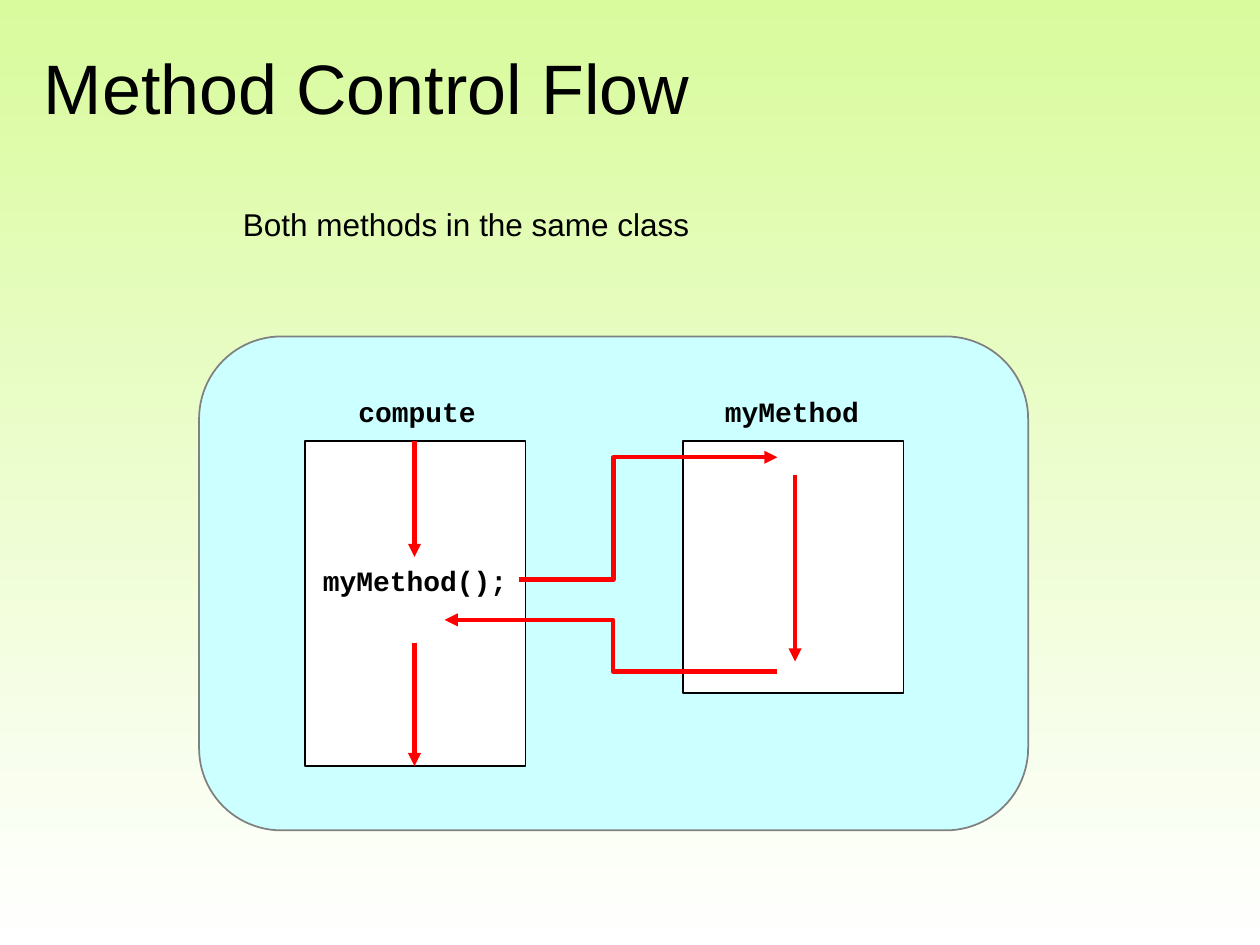
from lxml import etree
from pptx import Presentation
from pptx.dml.color import RGBColor
from pptx.enum.shapes import MSO_CONNECTOR, MSO_SHAPE
from pptx.enum.text import MSO_ANCHOR, PP_ALIGN
from pptx.oxml.ns import qn
from pptx.util import Inches, Pt

PANEL, BOX = MSO_SHAPE.FLOWCHART_ALTERNATE_PROCESS, MSO_SHAPE.RECTANGLE
STRAIGHT, ELBOW = MSO_CONNECTOR.STRAIGHT, MSO_CONNECTOR.ELBOW
TOP, MIDDLE = MSO_ANCHOR.TOP, MSO_ANCHOR.MIDDLE
LEFT, CENTER = PP_ALIGN.LEFT, PP_ALIGN.CENTER

BLACK = RGBColor(0x00, 0x00, 0x00)
WHITE = RGBColor(0xFF, 0xFF, 0xFF)
GRAY = RGBColor(0x80, 0x80, 0x80)
RED = RGBColor(0xFF, 0x00, 0x00)
CYAN = RGBColor(0xCC, 0xFF, 0xFF)
LIME = RGBColor(0xD9, 0xFB, 0x9D)

# Content: places are left, top, width, height in inches
BOXES = [
    (PANEL, (1.58, 2.67, 6.58, 3.92), CYAN, GRAY),  # the class
    (BOX, (2.42, 3.5, 1.75, 2.58), WHITE, BLACK),   # compute
    (BOX, (5.42, 3.5, 1.75, 2), WHITE, BLACK),      # myMethod
]
HEADING = {"name": "Arial", "size": Pt(40), "bold": False}
NOTE = {"name": "Arial", "size": Pt(18), "bold": False}
CODE = {"name": "Courier New", "size": Pt(16), "bold": True}
TEXTS = [
    ("Method Control Flow", (0.25, 0.3, 9.5, 0.78), HEADING, LEFT, MIDDLE, True),
    ("Both methods in the same class", (1.83, 1.58, 3.78, 0.4), NOTE, LEFT, TOP, False),
    ("compute", (2.74, 3.08, 1.14, 0.37), CODE, CENTER, MIDDLE, False),
    ("myMethod", (5.65, 3.08, 1.27, 0.37), CODE, CENTER, MIDDLE, False),
    ("myMethod();", (2.46, 4.42, 1.67, 0.37), CODE, CENTER, MIDDLE, False),
]
# Start, end, and where an elbow bends (share of its width)
ARROWS = [
    ((3.29, 3.5), (3.29, 4.42), None),
    ((4.12, 4.6), (6.17, 3.63), 0.365),
    ((6.31, 3.77), (6.31, 5.25), None),
    ((6.17, 5.33), (3.53, 4.92), 0.494),
    ((3.29, 5.1), (3.29, 6.08), None),
]


def add_box(slide, kind, place, fill, outline):
    shape = slide.shapes.add_shape(kind, *map(Inches, place))
    shape.shadow.inherit = False
    shape.fill.solid()
    shape.fill.fore_color.rgb = fill
    shape.line.color.rgb = outline
    shape.line.width = Pt(1)


def add_text(slide, text, place, style, alignment, anchor, wrap):
    frame = slide.shapes.add_textbox(*map(Inches, place)).text_frame
    frame.word_wrap = wrap
    frame.vertical_anchor = anchor
    paragraph = frame.paragraphs[0]
    paragraph.alignment = alignment
    run = paragraph.add_run()
    run.text = text
    run.font.color.rgb = BLACK
    for name, value in style.items():
        setattr(run.font, name, value)


def add_arrow(slide, start, end, bend):
    kind = ELBOW if bend else STRAIGHT
    connector = slide.shapes.add_connector(kind, *map(Inches, start + end))
    connector.line.color.rgb = RED
    connector.line.width = Pt(2.5)
    # Arrowhead, no shadow, and the place of the bend
    etree.SubElement(connector.line._get_or_add_ln(), qn("a:tailEnd"), type="triangle")
    properties = connector._element.spPr
    etree.SubElement(properties, qn("a:effectLst"))
    if bend:
        guides = properties.find(qn("a:prstGeom")).find(qn("a:avLst"))
        etree.SubElement(guides, qn("a:gd"), name="adj1", fmla=f"val {round(bend * 100000)}")


def main():
    presentation = Presentation()
    presentation.slide_width, presentation.slide_height = Inches(10), Inches(7.5)
    slide = presentation.slides.add_slide(presentation.slide_layouts[6])

    # Background fading from top to bottom
    background = slide.background.fill
    background.gradient()
    background.gradient_angle = 270
    for stop, color, position in zip(background.gradient_stops, (LIME, WHITE), (0, 1)):
        stop.color.rgb = color
        stop.position = position

    for box in BOXES:
        add_box(slide, *box)
    for text in TEXTS:
        add_text(slide, *text)
    for arrow in ARROWS:
        add_arrow(slide, *arrow)
    presentation.save("out.pptx")


if __name__ == "__main__":
    main()
